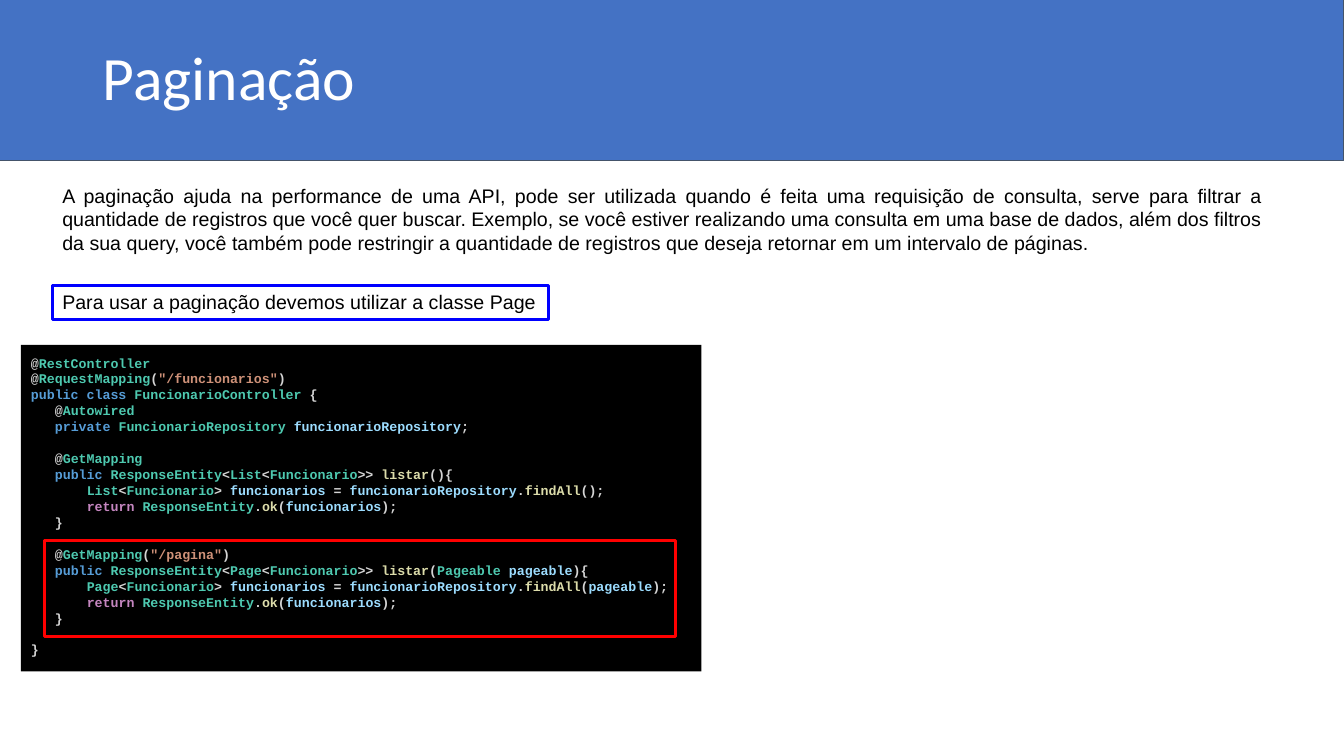
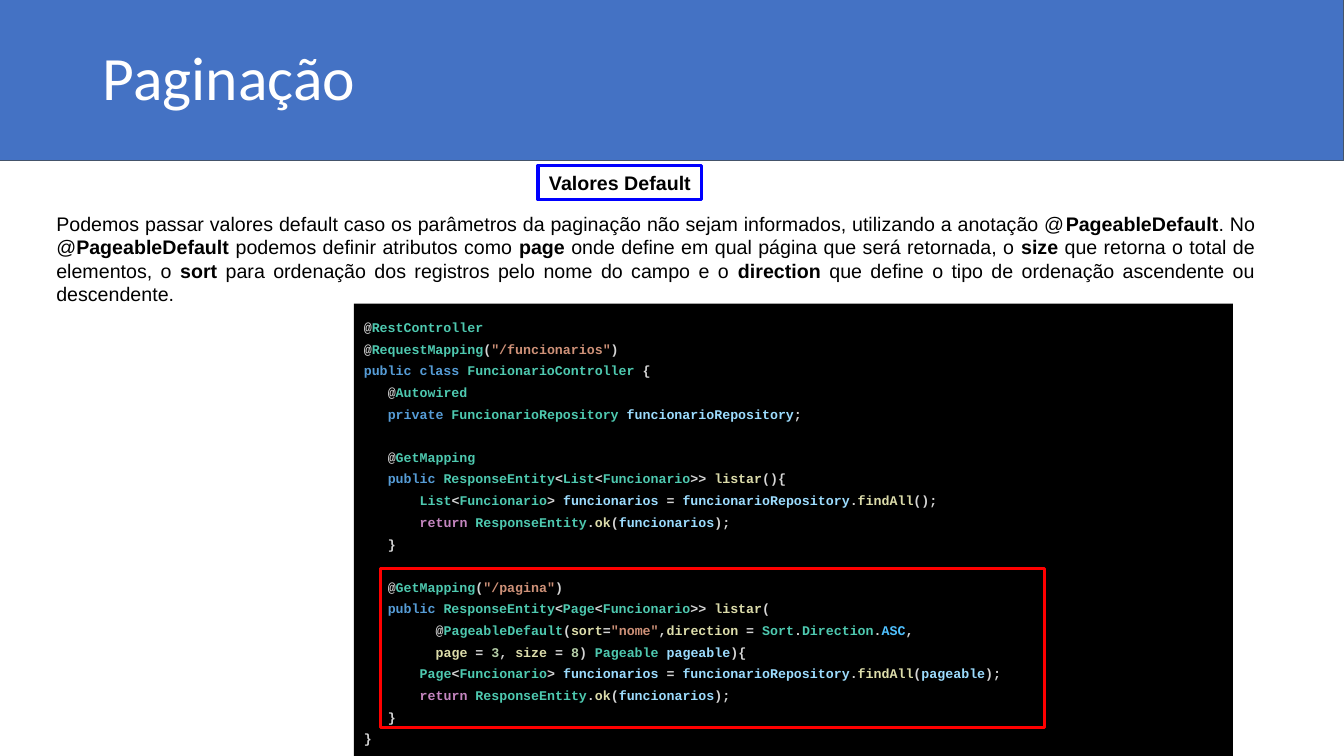
from itertools import groupby

from pptx import Presentation
from pptx import util as u
from pptx.dml.color import RGBColor
from pptx.enum import shapes, text

rgb = RGBColor.from_string

TITLE = {"size": u.Pt(44), "name": "Calibri", "bold": False}
BODY = {"size": u.Pt(14), "name": "Arial", "bold": False}
STRONG = {**BODY, "bold": True}
CODE = {"size": u.Pt(9.5), "name": "Courier New", "bold": True}
CODE_CHAR = 5.7
CODE_LINE = 11.3

PLAIN, STRING, NUMBER, TYPE, VARIABLE = "D4D4D4", "CE9178", "B5CEA8", "4EC9B0", "9CDCFE"
WORD_COLOURS = {
    **dict.fromkeys(["public", "private", "class"], "569CD6"),
    **dict.fromkeys(["listar", "findAll", "ok", "sort", "direction", "page", "size"], "DCDCAA"),
    "return": "C586C0",
    "ASC": "4FC1FF",
}

CONTROLLER = """@RestController
@RequestMapping("/funcionarios")
public class FuncionarioController {
   @Autowired
   private FuncionarioRepository funcionarioRepository;

   @GetMapping
   public ResponseEntity<List<Funcionario>> listar(){
       List<Funcionario> funcionarios = funcionarioRepository.findAll();
       return ResponseEntity.ok(funcionarios);
   }

   @GetMapping("/pagina")
   public ResponseEntity<Page<Funcionario>> listar("""

PAGE_QUERY = """
       Page<Funcionario> funcionarios = funcionarioRepository.findAll(pageable);
       return ResponseEntity.ok(funcionarios);
   }
"""

PAGEABLE = "Pageable pageable){"

PAGEABLE_DEFAULT = """
         @PageableDefault(sort="nome",direction = Sort.Direction.ASC,
         page = 3, size = 8) """

LESSONS = [
    {
        "label": "Para usar a paginação devemos utilizar a classe Page",
        "label_at": (1.32, 7.19, 12.5, 0.86),
        "label_align": text.PP_ALIGN.LEFT,
        "explanation": "A paginação ajuda na performance de uma API, pode ser utilizada quando é feita "
        "uma requisição de consulta, serve para filtrar a quantidade de registros que você quer buscar. "
        "Exemplo, se você estiver realizando uma consulta em uma base de dados, além dos filtros da sua "
        "query, você também pode restringir a quantidade de registros que deseja retornar em um "
        "intervalo de páginas.",
        "explanation_at": (1.32, 4.5, 30.76, 2.06),
        "code": CONTROLLER + PAGEABLE + PAGE_QUERY + "\n}",
        "code_at": (0.53, 8.69, 17.15, 8.23),
        "spacing": 1.0,
        "highlight_at": (1.12, 13.61, 15.9, 2.44),
    },
    {
        "label": "**Valores Default**",
        "label_at": (13.56, 4.17, 4.13, 0.86),
        "label_align": text.PP_ALIGN.CENTER,
        "explanation": "Podemos passar valores default caso os parâmetros da paginação não sejam "
        "informados, utilizando a anotação @**PageableDefault**. No @**PageableDefault** podemos definir "
        "atributos como **page** onde define em qual página que será retornada, o **size** que retorna o "
        "total de elementos, o **sort** para ordenação dos registros pelo nome do campo e o "
        "**direction** que define o tipo de ordenação ascendente ou descendente.",
        "explanation_at": (1.17, 5.21, 30.71, 2.64),
        "code": CONTROLLER + PAGEABLE_DEFAULT + PAGEABLE + PAGE_QUERY + "}",
        "code_at": (8.92, 7.65, 22.15, 11.4),
        "spacing": 1.36,
        "highlight_at": (9.58, 14.33, 16.74, 4.01),
    },
]


def add_box(slide, at, fill=None, line=None, width=2.25):
    box = slide.shapes.add_shape(shapes.MSO_SHAPE.RECTANGLE, *map(u.Cm, at))
    box.shadow.inherit = False
    for part, colour in ((box.fill, fill), (box.line.fill, line)):
        if colour:
            part.solid()
            part.fore_color.rgb = rgb(colour)
        else:
            part.background()
    if line:
        box.line.width = u.Pt(width)
    box.text_frame.word_wrap = True
    box.text_frame.vertical_anchor = text.MSO_ANCHOR.TOP
    return box


def add_run(paragraph, words, style, colour):
    run = paragraph.add_run()
    run.text = words
    for attribute, value in style.items():
        setattr(run.font, attribute, value)
    run.font.color.rgb = rgb(colour)


deck = Presentation()
deck.slide_width, deck.slide_height = u.Cm(33.87), u.Cm(19.05)

for lesson in LESSONS:
    slide = deck.slides.add_slide(deck.slide_layouts[6])
    add_box(slide, (0, 0, 33.87, 4.05), "4472C4", "44546A", 0.75)

    heading = slide.shapes.add_textbox(*map(u.Cm, (2.34, 0.18, 29.2, 3.68))).text_frame
    heading.word_wrap = True
    heading.vertical_anchor = text.MSO_ANCHOR.MIDDLE
    heading.paragraphs[0].line_spacing = 0.9
    add_run(heading.paragraphs[0], "Paginação", TITLE, "FFFFFF")

    for part, align, border in (
        ("explanation", text.PP_ALIGN.JUSTIFY, None),
        ("label", lesson["label_align"], "0000FF"),
    ):
        box = add_box(slide, lesson[part + "_at"], "FFFFFF", border)
        paragraph = box.text_frame.paragraphs[0]
        paragraph.alignment = align
        for position, words in enumerate(lesson[part].split("**")):
            if words:
                add_run(paragraph, words, STRONG if position % 2 else BODY, "000000")

    listing = add_box(slide, lesson["code_at"], "000000").text_frame
    listing.margin_top = listing.margin_bottom = u.Cm(0.25)
    paragraph = listing.paragraphs[0]
    gap = 0
    for number, code_line in enumerate(lesson["code"].split("\n")):
        statement = code_line.lstrip()
        if not statement:
            gap = CODE_LINE * lesson["spacing"]
            continue
        if number:
            paragraph = listing.add_paragraph()
        paragraph.alignment = text.PP_ALIGN.LEFT
        paragraph.line_spacing = lesson["spacing"]
        paragraph.space_before = u.Pt(gap)
        gap = 0
        indent = u.Pt((len(code_line) - len(statement)) * CODE_CHAR)
        paragraph._p.get_or_add_pPr().set("marL", str(indent))
        for position, piece in enumerate(statement.split('"')):
            if position % 2:
                add_run(paragraph, f'"{piece}"', CODE, STRING)
                continue
            for is_word, letters in groupby(piece, str.isalnum):
                token = "".join(letters)
                colour = PLAIN
                if is_word:
                    usual = NUMBER if token.isdigit() else TYPE if token[0].isupper() else VARIABLE
                    colour = WORD_COLOURS.get(token, usual)
                add_run(paragraph, token, CODE, colour)

    add_box(slide, lesson["highlight_at"], line="FF0000")

deck.save("out.pptx")
